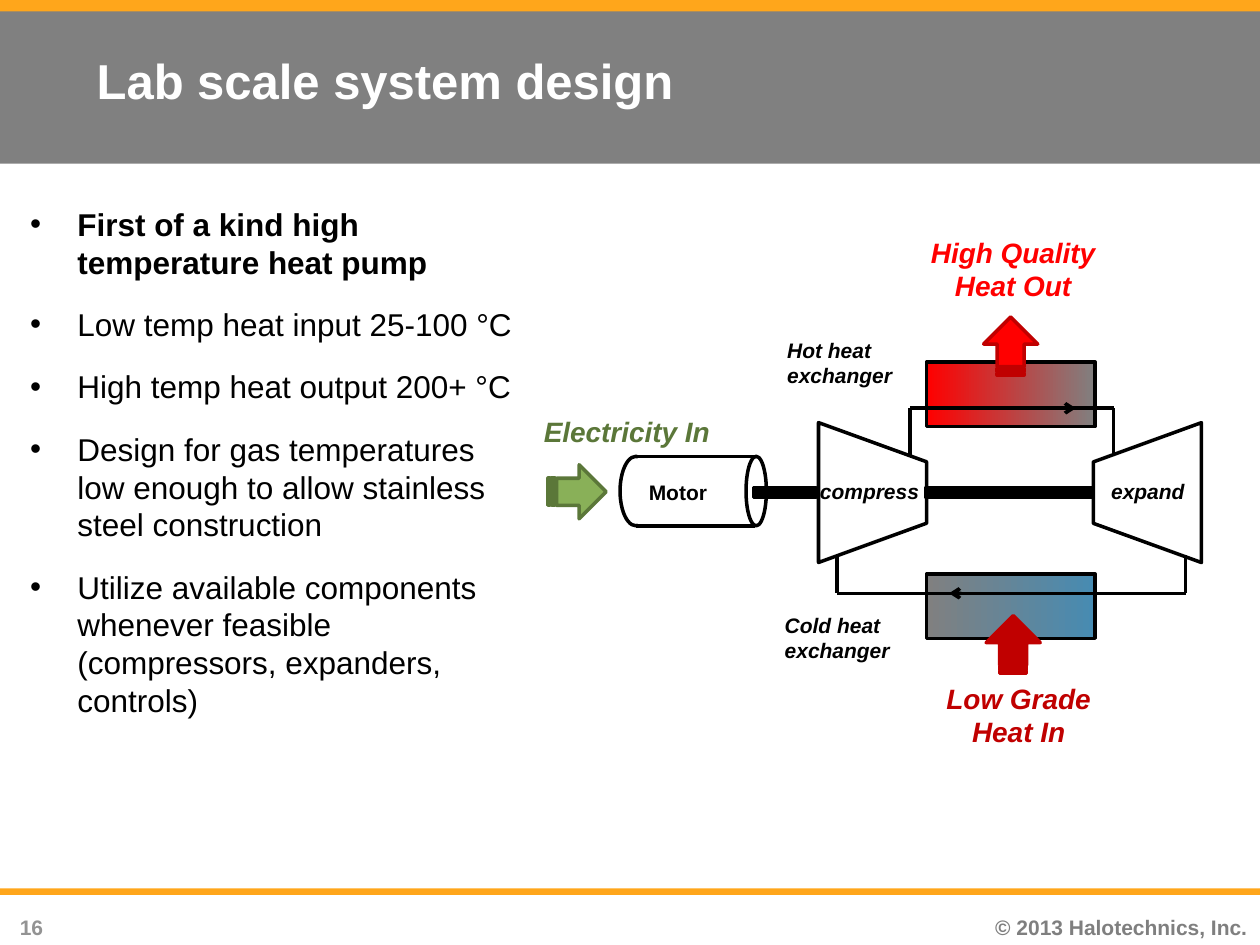
from dataclasses import dataclass

from lxml import etree
from pptx import Presentation
from pptx.dml.color import RGBColor
from pptx.enum.shapes import MSO_CONNECTOR, MSO_SHAPE
from pptx.enum.text import MSO_ANCHOR, PP_ALIGN
from pptx.oxml.ns import qn
from pptx.util import Cm, Pt

RECT, OVAL = MSO_SHAPE.RECTANGLE, MSO_SHAPE.OVAL
TRAPEZOID, ARROW = MSO_SHAPE.TRAPEZOID, MSO_SHAPE.STRIPED_RIGHT_ARROW
STRAIGHT = MSO_CONNECTOR.STRAIGHT
LEFT, CENTER, RIGHT = PP_ALIGN.LEFT, PP_ALIGN.CENTER, PP_ALIGN.RIGHT
TOP, MIDDLE = MSO_ANCHOR.TOP, MSO_ANCHOR.MIDDLE
FONT = "Arial"
C = {
    "white": "FFFFFF", "black": "000000", "gray": "808080", "orange": "FFA61B",
    "footer": "7F7F7F", "number": "939393", "red": "FF0000", "dark_red": "C00000",
    "blue": "478BB2", "green": "89B058", "dark_green": "5B7739",
}


@dataclass
class Part:
    """A preset shape; two fill names make a left-to-right gradient."""
    kind: int
    x: float
    y: float
    w: float
    h: float
    fill: tuple
    line: str | None = "black"
    rotation: int = 0


@dataclass
class Label:
    text: str
    x: float
    y: float
    w: float
    h: float
    size: int = 12
    color: str = "black"
    italic: bool = True
    align: int = LEFT
    anchor: int = TOP
    wrap: bool = True


BANDS = [
    Part(RECT, 0, 0, 25.4, 3.3, ("gray",), None),
    Part(RECT, 0, 17.91, 25.4, 0.13, ("orange",), None),
    Part(RECT, 0, 0, 25.4, 0.23, ("orange",), None),
]
MACHINES = [
    Part(RECT, 18.68, 7.3, 3.4, 1.3, ("red", "gray")),
    Part(TRAPEZOID, 21.72, 8.84, 2.82, 2.18, ("white",), rotation=270),
    Part(TRAPEZOID, 16.18, 8.84, 2.82, 2.18, ("white",), rotation=90),
    Part(RECT, 18.67, 9.83, 3.38, 0.2, ("black",)),
    Part(RECT, 18.68, 11.57, 3.4, 1.3, ("gray", "blue")),
    Part(OVAL, 12.5, 9.2, 0.64, 1.4, ("white",)),
    Part(RECT, 12.85, 9.2, 2.16, 1.4, ("white",), None),
    Part(OVAL, 15.04, 9.2, 0.41, 1.4, ("white",)),
    Part(RECT, 15.19, 9.83, 1.27, 0.2, ("black",)),
]
ENERGY_ARROWS = [
    Part(ARROW, 19.79, 6.43, 1.17, 1.09, ("red",), "dark_red", 270),
    Part(ARROW, 11.05, 9.37, 1.17, 1.09, ("green",), "dark_green"),
    Part(ARROW, 19.84, 12.45, 1.17, 1.09, ("dark_red",), "dark_red", 270),
]
PIPES = [
    [(18.34, 9.19), (18.34, 8.23), (22.45, 8.23), (22.45, 9.14)],
    [(16.87, 11.18), (16.87, 11.96), (23.9, 11.96), (23.9, 11.18)],
    [(12.83, 9.2), (15.22, 9.2)],
    [(12.83, 10.6), (15.22, 10.6)],
]
FLOWS = [[(21.44, 11.96), (19.13, 11.96)], [(19.35, 8.23), (21.69, 8.23)]]
LABELS = [
    Label("© 2013 Halotechnics, Inc.", 19.08, 18.31, 6.32, 0.74, 12, "footer", False, RIGHT),
    Label("16", 0, 18.31, 1.12, 0.66, 12, "number", False, RIGHT),
    Label("Lab scale system design", 1.7, -0.05, 22.86, 3.33, 28, "white", False, anchor=MIDDLE),
    Label("Motor", 12.83, 9.55, 1.73, 0.76, italic=False),
    Label("compress", 16.28, 9.53, 2.51, 0.76, wrap=False),
    Label("expand", 22.15, 9.53, 2.01, 0.76, wrap=False),
    Label("Hot heat exchanger", 15.62, 6.68, 3.18, 1.27),
    Label("Cold heat exchanger", 15.57, 12.22, 3.18, 1.27),
    Label("High Quality Heat Out", 18.47, 4.62, 3.91, 1.63, 16, "red", align=CENTER),
    Label("Electricity In", 10.67, 8.23, 3.89, 0.94, 16, "dark_green", align=RIGHT),
    Label("Low Grade Heat In", 18.49, 13.61, 4.09, 1.63, 16, "dark_red", align=CENTER),
]
BULLETS = [
    "First of a kind high temperature heat pump",
    "Low temp heat input 25-100 °C",
    "High temp heat output 200+ °C",
    "Design for gas temperatures low enough to allow stainless steel construction",
    "Utilize available components whenever feasible (compressors, expanders, controls)",
]


def rgb(name: str) -> RGBColor:
    return RGBColor.from_string(C[name])


def draw_part(s, part: Part) -> None:
    sp = s.shapes.add_shape(part.kind, Cm(part.x), Cm(part.y), Cm(part.w), Cm(part.h))
    sp.shadow.inherit = False
    sp.rotation = part.rotation
    if part.kind == TRAPEZOID:
        sp.adjustments[0] = 0.363
    if len(part.fill) == 2:
        sp.fill.gradient()
        sp.fill.gradient_angle = 0
        for stop, name in zip(sp.fill.gradient_stops, part.fill):
            stop.color.rgb = rgb(name)
    else:
        sp.fill.solid()
        sp.fill.fore_color.rgb = rgb(part.fill[0])
    if part.line:
        sp.line.color.rgb = rgb(part.line)
        sp.line.width = Pt(2)
    else:
        sp.line.fill.background()


def draw_path(s, points: list, arrow: bool = False) -> None:
    """Join the points with straight lines, each ending in an arrowhead if asked."""
    for (x1, y1), (x2, y2) in zip(points, points[1:]):
        line = s.shapes.add_connector(STRAIGHT, Cm(x1), Cm(y1), Cm(x2), Cm(y2))
        line.line.color.rgb = rgb("black")
        line.line.width = Pt(2)
        props = line._element.spPr
        if arrow:
            etree.SubElement(props.find(qn("a:ln")), qn("a:tailEnd"), type="arrow")
        etree.SubElement(props, qn("a:effectLst"))


def style_font(p, size: int, color: str, bold: bool, italic: bool = False) -> None:
    f = p.font
    f.name, f.size, f.bold, f.italic = FONT, Pt(size), bold, italic
    f.color.rgb = rgb(color)


def draw_label(s, label: Label) -> None:
    tf = s.shapes.add_textbox(Cm(label.x), Cm(label.y), Cm(label.w), Cm(label.h)).text_frame
    tf.word_wrap = label.wrap
    tf.vertical_anchor = label.anchor
    p = tf.paragraphs[0]
    p.text, p.alignment = label.text, label.align
    style_font(p, label.size, label.color, True, label.italic)


def draw_bullets(s) -> None:
    tf = s.shapes.add_textbox(Cm(0.36), Cm(4.01), Cm(10.31), Cm(12.57)).text_frame
    tf.word_wrap = True
    for i, text in enumerate(BULLETS):
        p = tf.add_paragraph() if i else tf.paragraphs[0]
        p.text = text
        if i:
            p.space_before = Pt(14)
        props = p._p.get_or_add_pPr()
        props.set("marL", str(Cm(0.95)))
        props.set("indent", str(-Cm(0.95)))
        etree.SubElement(props, qn("a:buFont"), typeface=FONT)
        etree.SubElement(props, qn("a:buChar"), char="•")
        style_font(p, 18, "black", bold=i == 0)


def main() -> None:
    prs = Presentation()
    prs.slide_width, prs.slide_height = Cm(25.4), Cm(19.05)
    s = prs.slides.add_slide(prs.slide_layouts[6])
    for part in BANDS + MACHINES:
        draw_part(s, part)
    for pipe in PIPES:
        draw_path(s, pipe)
    for flow in FLOWS:
        draw_path(s, flow, arrow=True)
    for part in ENERGY_ARROWS:
        draw_part(s, part)
    for label in LABELS:
        draw_label(s, label)
    draw_bullets(s)
    prs.save("out.pptx")


if __name__ == "__main__":
    main()
